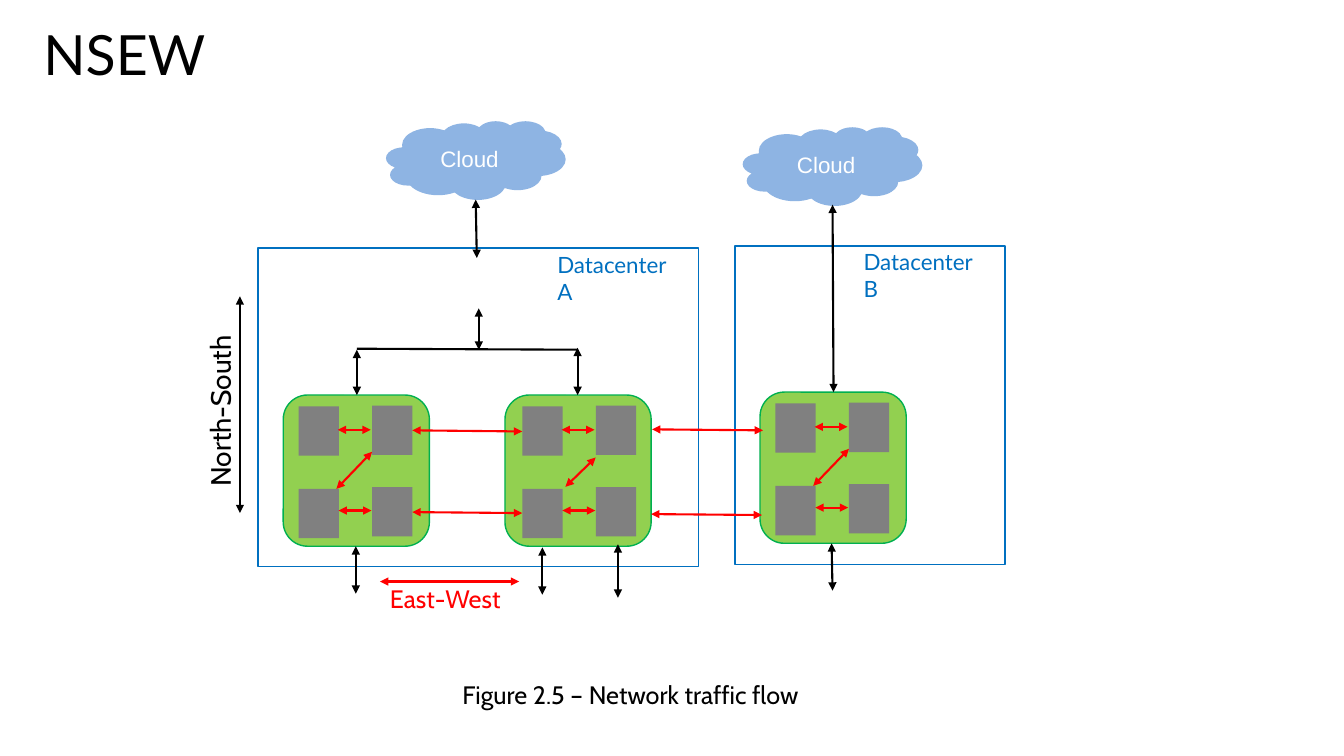
from lxml import etree
from pptx import Presentation
from pptx.dml.color import RGBColor
from pptx.enum import shapes, text
from pptx.oxml import ns
from pptx.util import Pt

BLACK = RGBColor(0x00, 0x00, 0x00)
WHITE = RGBColor(0xFF, 0xFF, 0xFF)
RED = RGBColor(0xFF, 0x00, 0x00)
BLUE = RGBColor(0x00, 0x70, 0xC0)
SKY = RGBColor(0x8E, 0xB4, 0xE3)
LIME = RGBColor(0x92, 0xD0, 0x50)
GREEN = RGBColor(0x00, 0xB0, 0x50)
GRAY = RGBColor(0x80, 0x80, 0x80)

SHAPE = shapes.MSO_SHAPE

# Cluster left, top, shift of its contents, and ends of its diagonal arrow
CLUSTERS = [
    (202.3, 282.2, 0, (38, 67, 63.5, 40.5)),
    (360.7, 282.2, 1.5, (43.2, 65.5, 64.8, 44.6)),
    (542.9, 280.1, 0, (38, 67, 63.5, 40.5)),
]
SERVERS = [(11, 8), (11, 67), (63.5, 7.5), (63.5, 65.7)]
SERVER_LINKS = [(39, 24.8, 62.5, 24.8), (39.5, 82.5, 63, 82.5)]

DATACENTERS = [
    ("Datacenter A", (184.3, 177.1, 314.6, 227.5), (391, 175.7)),
    ("Datacenter B", (524.9, 175.7, 193, 227.5), (609.8, 173.9)),
]
CLOUDS = [(275.8, 86.4), (530.6, 90.7)]

NORTH_SOUTH = [
    (412.6, 248.4, 412.6, 282.2),
    (254.9, 249.8, 254.9, 282.2),
    (342, 220.3, 342, 249.8),
    (339.8, 142.6, 340.6, 184.3),
    (387.4, 391, 387.4, 424.8),
    (254.2, 390.2, 254.2, 424.1),
    (441.4, 388.8, 441.4, 427),
    (594, 388.1, 594.7, 421.9),
    (594.7, 146.2, 595.4, 280.1),
    (171.4, 211.7, 171.4, 366.5),
]
EAST_WEST = [
    (294.5, 365.8, 373, 366.5),
    (294.5, 307.4, 373, 308.2),
    (465.1, 367.2, 544.3, 367.9),
    (465.8, 306.7, 545, 307.4),
    (370.8, 415.4, 271.4, 415.4),
]


def write(frame, words, font, size, color):
    para = frame.paragraphs[0]
    span = para.add_run()
    span.text = words
    for name, value in {"name": font, "size": Pt(size)}.items():
        setattr(span.font, name, value)
    span.font.color.rgb = color
    return para


def add_block(page, kind, bounds, fill=None, line=None):
    block = page.shapes.add_shape(kind, *map(Pt, bounds))
    block.shadow.inherit = False
    if fill is None:
        block.fill.background()
    else:
        block.fill.solid()
        block.fill.fore_color.rgb = fill
    if line is None:
        block.line.fill.background()
    else:
        block.line.color.rgb = line
        block.line.width = Pt(1)
    return block


def add_line(page, ends, color, arrows=True):
    line = page.shapes.add_connector(shapes.MSO_CONNECTOR.STRAIGHT, *map(Pt, ends))
    line.line.color.rgb = color
    line.line.width = Pt(1.5)
    if arrows:
        outline = line.line._get_or_add_ln()
        for end in ("a:headEnd", "a:tailEnd"):
            etree.SubElement(outline, ns.qn(end), type="triangle")
    etree.SubElement(line._element.spPr, ns.qn("a:effectLst"))


def add_label(page, words, bounds, font, size, color, wrap=False, rotation=0):
    box = page.shapes.add_textbox(*map(Pt, bounds))
    box.rotation = rotation
    settings = {"word_wrap": wrap, "auto_size": text.MSO_AUTO_SIZE.SHAPE_TO_FIT_TEXT}
    for name, value in settings.items():
        setattr(box.text_frame, name, value)
    write(box.text_frame, words, font, size, color)


def add_title(page, words):
    title = page.shapes.title
    place = {"left": 23.8, "top": 20.9, "width": 432, "height": 40.3}
    for name, value in place.items():
        setattr(title, name, Pt(value))
    settings = {
        "vertical_anchor": text.MSO_ANCHOR.MIDDLE,
        "auto_size": text.MSO_AUTO_SIZE.NONE,
        "word_wrap": True,
    }
    for name, value in settings.items():
        setattr(title.text_frame, name, value)
    para = write(title.text_frame, words, "Lato", 39.6, BLACK)
    para.alignment = text.PP_ALIGN.LEFT
    para.line_spacing = 0.9


def add_cloud(page, left, top):
    cloud = add_block(page, SHAPE.CLOUD, (left, top, 128.2, 56.2), SKY)
    frame = cloud.text_frame
    for side in ("left", "right", "top", "bottom"):
        setattr(frame, f"margin_{side}", 0)
    frame.vertical_anchor = text.MSO_ANCHOR.MIDDLE
    para = write(frame, "Cloud", "Arial", 16, WHITE)
    para.alignment = text.PP_ALIGN.CENTER


def add_cluster(page, left, top, shift, diagonal):
    """Draw a green cluster of four servers joined by red arrows."""
    add_block(page, SHAPE.ROUNDED_RECTANGLE, (left, top, 104.4, 108), LIME, GREEN)
    for x, y in SERVERS:
        add_block(page, SHAPE.RECTANGLE, (left + shift + x, top + y, 28.8, 35.3), GRAY)
    links = [(x1 + shift, y1, x2 + shift, y2) for x1, y1, x2, y2 in SERVER_LINKS]
    for x1, y1, x2, y2 in links + [diagonal]:
        add_line(page, (left + x1, top + y1, left + x2, top + y2), RED)


def main():
    deck = Presentation()
    deck.slide_width, deck.slide_height = Pt(960), Pt(540)
    page = deck.slides.add_slide(deck.slide_layouts[5])

    add_title(page, "NSEW")
    for cluster in CLUSTERS:
        add_cluster(page, *cluster)
    for name, bounds, corner in DATACENTERS:
        add_block(page, SHAPE.RECTANGLE, bounds, line=BLUE)
        add_label(page, name, (*corner, 100, 46), "Lato", 16, BLUE, wrap=True)
    for corner in CLOUDS:
        add_cloud(page, *corner)

    add_line(page, (254.9, 249.1, 412.6, 249.8), BLACK, arrows=False)
    for ends in NORTH_SOUTH:
        add_line(page, ends, BLACK)
    for ends in EAST_WEST:
        add_line(page, ends, RED)

    add_label(page, "East-West", (271.4, 413.3, 98.6, 28.8), "Cabin", 18, RED)
    add_label(page, "North-South", (93.6, 275, 127.4, 31.7), "Cabin", 20, BLACK,
              rotation=270)
    add_label(page, "Figure 2.5 – Network traffic flow", (323.3, 481.7, 259.2, 28.8),
              "Cabin", 18, BLACK, wrap=True)
    deck.save("out.pptx")


if __name__ == "__main__":
    main()
